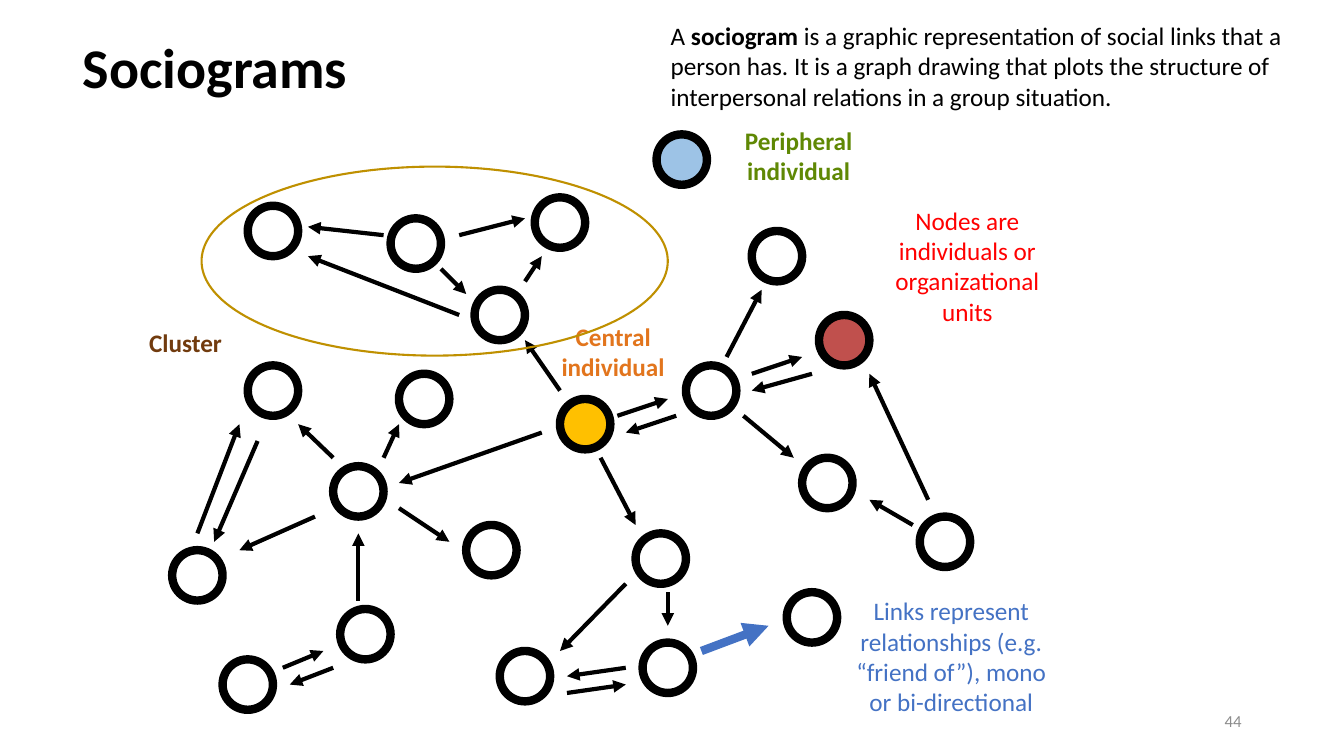
from lxml.etree import SubElement
from pptx import Presentation
from pptx.dml.color import RGBColor
from pptx.enum.shapes import MSO_CONNECTOR, MSO_SHAPE
from pptx.enum.text import MSO_ANCHOR, PP_ALIGN
from pptx.oxml.ns import qn
from pptx.util import Pt

COLORS = {
    "black": "000000", "gray": "8C8C8C", "gold": "FFC000", "brick": "C0504D",
    "sky": "9DC3E6", "blue": "4472C4", "red": "FF0000", "orange": "E2751D",
    "brown": "713B0E", "green": "5F8804", "ochre": "BF9000",
}
NODE_SIZE = 36

NODES = [
    (243, 435), (123, 393), (159, 471), (285, 267), (333, 375), (177, 261),
    (279, 156), (177, 147), (382, 141), (238, 333), (339, 207), (537, 165),
    (573, 327), (657, 369), (454, 381), (357, 465), (562, 423), (459, 459),
    (490, 261),
]
COLORED_NODES = [(400, 285, "gold"), (585, 225, "brick"), (469, 96, "sky")]

LINKS = [
    (256, 429, 256, 381), (225, 369, 171, 393), (202, 477, 231, 465),
    (238, 477, 207, 489), (274, 327, 285, 303), (285, 363, 321, 387),
    (238, 327, 213, 303), (141, 381, 171, 303), (184, 315, 153, 387),
    (274, 168, 220, 162), (328, 168, 375, 156), (315, 192, 333, 210),
    (328, 225, 220, 183), (375, 201, 387, 183), (387, 309, 285, 345),
    (400, 279, 375, 243), (519, 255, 544, 207), (537, 267, 573, 255),
    (580, 267, 537, 279), (531, 297, 567, 327), (663, 357, 621, 267),
    (652, 375, 621, 357), (429, 327, 454, 375), (447, 417, 400, 465),
    (447, 477, 405, 483), (477, 423, 477, 447), (405, 495, 447, 489),
    (441, 297, 477, 285), (483, 297, 447, 309),
]

LABELS = [
    ((622, 143, 138, 94), "Nodes are individuals or organizational units", "red", False),
    ((599, 422, 161, 94),
     "Links represent relationships (e.g. “friend of”), mono or bi-directional",
     "blue", False),
    ((387, 226, 102, 51), "Central individual", "orange", True),
    ((83, 230, 99, 29), "Cluster", "brown", True),
    ((511, 86, 119, 51), "Peripheral individual", "green", True),
]
DEFINITION = [
    ("A ", False),
    ("sociogram", True),
    (" is a graphic representation of social links that a person has. It is a graph "
     "drawing that plots the structure of interpersonal relations in a group situation.",
     False),
]


def rgb(name):
    return RGBColor.from_string(COLORS[name])


def set_attrs(obj, values):
    for name, value in values.items():
        setattr(obj, name, value)


def write_runs(p, runs, color, size):
    for text, bold in runs:
        r = p.add_run()
        r.text = text
        set_attrs(r.font, {"name": "Calibri", "size": Pt(size), "bold": bold})
        r.font.color.rgb = rgb(color)


def add_title(s, text):
    sp = s.shapes.title
    set_attrs(sp, {"left": Pt(52), "top": Pt(-2), "width": Pt(887), "height": Pt(104)})
    sp.text_frame.vertical_anchor = MSO_ANCHOR.MIDDLE
    p = sp.text_frame.paragraphs[0]
    set_attrs(p, {"alignment": PP_ALIGN.LEFT, "line_spacing": 0.9})
    write_runs(p, [(text, True)], "black", 40)


def add_text(s, box, runs, color, align=PP_ALIGN.CENTER, size=18, anchor=MSO_ANCHOR.TOP):
    tf = s.shapes.add_textbox(*map(Pt, box)).text_frame
    set_attrs(tf, {"word_wrap": True, "vertical_anchor": anchor})
    p = tf.paragraphs[0]
    p.alignment = align
    write_runs(p, runs, color, size)


def add_ellipse(s, box, line="black", width=6, fill=None):
    sp = s.shapes.add_shape(MSO_SHAPE.OVAL, *map(Pt, box))
    sp.shadow.inherit = False
    if fill:
        sp.fill.solid()
        sp.fill.fore_color.rgb = rgb(fill)
    else:
        sp.fill.background()
    sp.line.color.rgb = rgb(line)
    sp.line.width = Pt(width)


def add_node(s, x, y, fill=None):
    add_ellipse(s, (x, y, NODE_SIZE, NODE_SIZE), fill=fill)


def add_arrow(s, ends, color="black", width=3):
    cxn = s.shapes.add_connector(MSO_CONNECTOR.STRAIGHT, *map(Pt, ends))
    cxn.line.color.rgb = rgb(color)
    cxn.line.width = Pt(width)
    props = cxn.line._get_or_add_ln()
    SubElement(props, qn("a:tailEnd"), type="triangle")
    SubElement(cxn._element.spPr, qn("a:effectLst"))


def main():
    prs = Presentation()
    set_attrs(prs, {"slide_width": Pt(960), "slide_height": Pt(540)})
    s = prs.slides.add_slide(prs.slide_layouts[5])
    add_title(s, "Sociograms")
    add_text(s, (678, 500, 216, 29), [("44", False)], "gray", PP_ALIGN.RIGHT, 12,
             MSO_ANCHOR.MIDDLE)
    for node in NODES + COLORED_NODES:
        add_node(s, *node)
    for ends in LINKS:
        add_arrow(s, ends)
    add_arrow(s, (501, 465, 549, 447), "blue", 6)
    for box, text, color, bold in LABELS:
        add_text(s, box, [(text, bold)], color)
    add_ellipse(s, (144, 119, 333, 135), "ochre", 1.5)
    add_text(s, (472, 11, 480, 73), DEFINITION, "black", PP_ALIGN.LEFT)
    prs.save("out.pptx")


if __name__ == "__main__":
    main()
